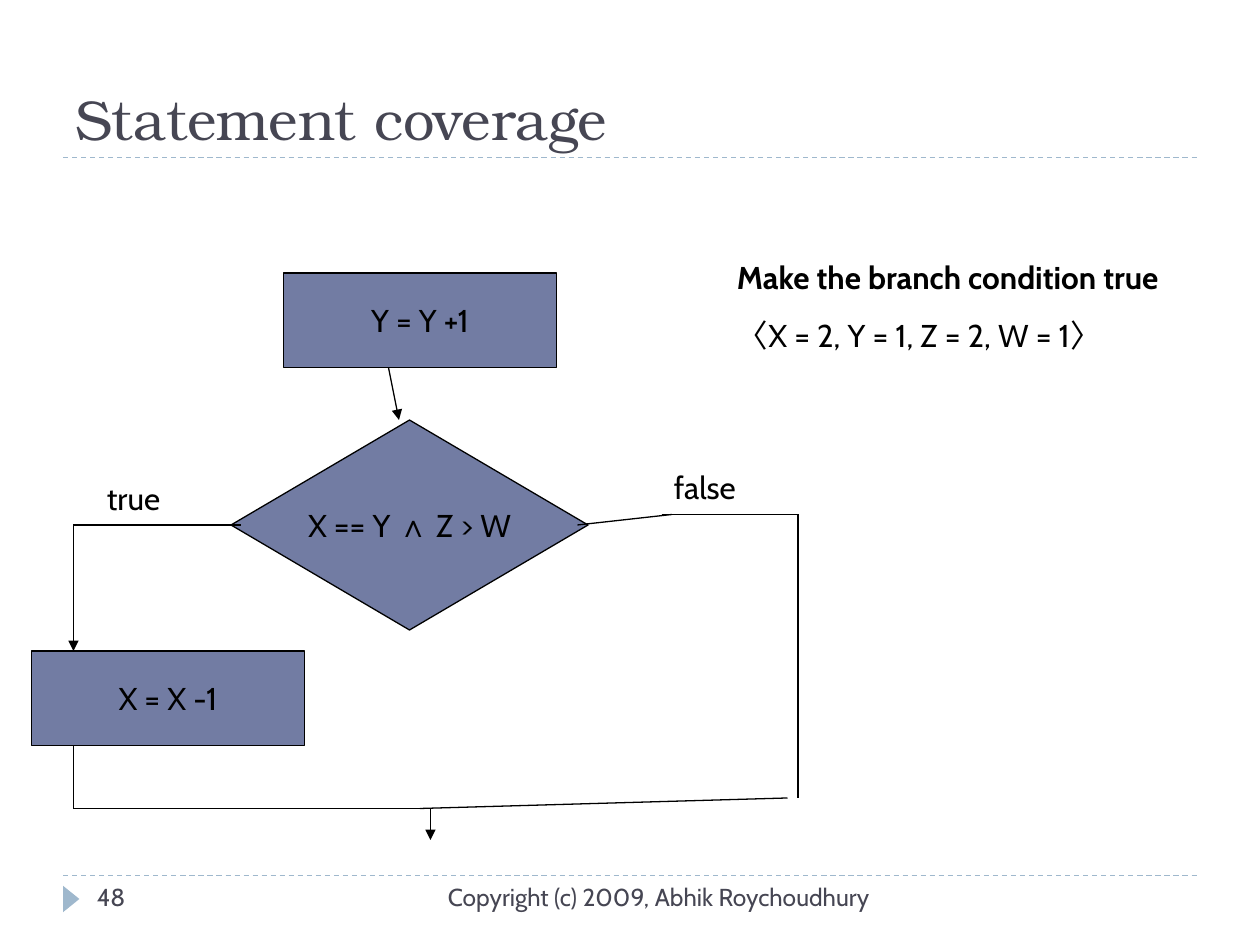
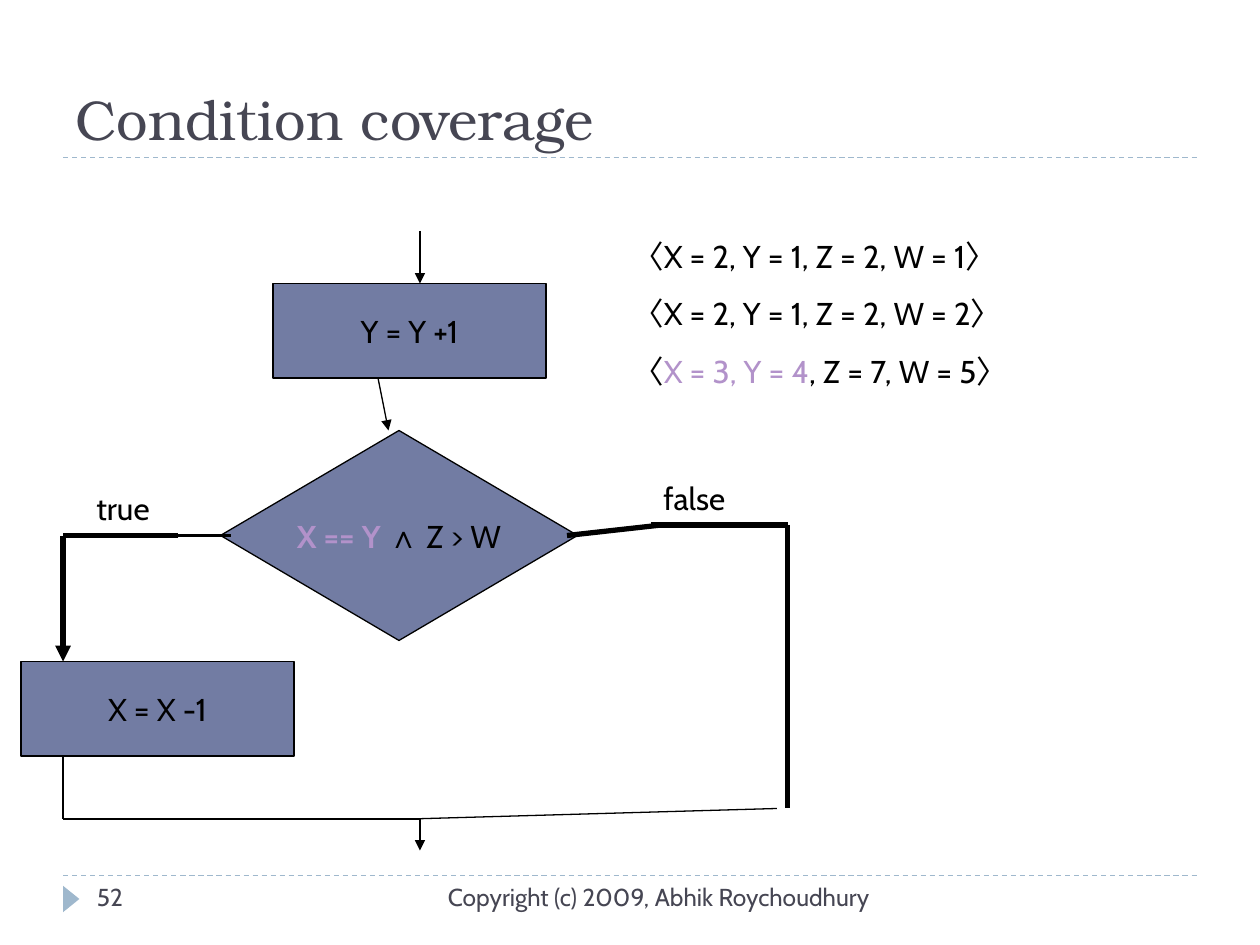
from lxml.etree import SubElement
from pptx import Presentation
from pptx.dml.color import RGBColor
from pptx.enum.dml import MSO_LINE_DASH_STYLE as Dash
from pptx.enum.shapes import MSO_CONNECTOR as Connector, MSO_SHAPE as Shape
from pptx.enum.text import MSO_ANCHOR as Anchor, PP_ALIGN as Align
from pptx.oxml.ns import qn
from pptx.util import Inches, Pt

COLORS = {"ink": "000000", "heading": "464653", "rule": "9FB8CD",
          "node": "727CA3", "accent": "B292CA"}
BODY, HEADING, SYMBOL = "Cabin", "TeX Gyre Bonum", "Arial"
THIN, MEDIUM, HEAVY = 0.75, 2.25, 3
GRID = 1 / 12


def rgb(name):
    return RGBColor.from_string(COLORS[name])


def write(frame, paragraphs, size=18, font=BODY, color="ink", bold=False,
          align=Align.LEFT, anchor=Anchor.TOP, wrap=True, gap=0):
    frame.word_wrap = wrap
    frame.vertical_anchor = anchor
    for index, runs in enumerate(paragraphs):
        paragraph = frame.add_paragraph() if index else frame.paragraphs[0]
        paragraph.alignment = align
        if index:
            paragraph.space_before = Pt(gap)
        for text, style in runs:
            run = paragraph.add_run()
            run.text = text
            run.font.size = Pt(size)
            run.font.name = style.get("font", font)
            run.font.bold = style.get("bold", bold)
            run.font.color.rgb = rgb(style.get("color", color))


def plain(text, **style):
    return [(text, style)]


def test_case(*parts):
    bracket = {"font": SYMBOL}
    return [("〈", bracket), *parts, ("〉", bracket)]


class Deck:
    def __init__(self):
        self.presentation = Presentation()
        self.presentation.slide_width = Inches(10)
        self.presentation.slide_height = Inches(7.5)
        self.slide = None

    def start(self, title, number):
        self.slide = self.presentation.slides.add_slide(self.presentation.slide_layouts[6])
        for height in (6.95, 1.25):
            self.line((0.5, height), (9.5, height), color="rule", dashed=True)
        marker = self.shape(Shape.ISOSCELES_TRIANGLE, (0.46, 7.07, 0.21, 0.13), "rule")
        marker.rotation = 90
        self.text((0.5, 0.17, 9, 1.08), [plain(title)], size=32, font=HEADING,
                  color="heading", anchor=Anchor.BOTTOM)
        self.text((3.17, 6.95, 3.83, 0.4), [plain("Copyright (c) 2009, Abhik Roychoudhury")],
                  size=14, color="heading", align=Align.RIGHT)
        self.text((0.67, 6.95, 2.17, 0.4), [plain(number)], size=14, color="heading")

    def text(self, box, paragraphs, **style):
        holder = self.slide.shapes.add_textbox(*map(Inches, box))
        write(holder.text_frame, paragraphs, **style)

    def shape(self, kind, box, fill):
        shape = self.slide.shapes.add_shape(kind, *map(Inches, box))
        shape.shadow.inherit = False
        shape.fill.solid()
        shape.fill.fore_color.rgb = rgb(fill)
        shape.line.fill.background()
        return shape

    def node(self, kind, box, runs):
        node = self.shape(kind, box, "node")
        node.line.color.rgb = rgb("ink")
        node.line.width = Pt(THIN)
        write(node.text_frame, [runs], align=Align.CENTER, anchor=Anchor.MIDDLE, wrap=False)

    def line(self, start, end, width=THIN, color="ink", dashed=False, arrow=False):
        line = self.slide.shapes.add_connector(Connector.STRAIGHT, *map(Inches, start + end))
        line.line.color.rgb = rgb(color)
        line.line.width = Pt(width)
        if dashed:
            line.line.dash_style = Dash.DASH
        properties = line._element.spPr
        if arrow:
            SubElement(properties.find(qn("a:ln")), qn("a:tailEnd"), type="triangle")
        SubElement(properties, qn("a:effectLst"))

    def flowchart(self, left, top, equality, branch=THIN, true_stub=THIN, entry=False):
        def place(x, y, *size):
            return ((left + x) * GRID, (top + y) * GRID, *(length * GRID for length in size))

        def link(start, end, **style):
            self.line(place(*start), place(*end), **style)

        self.node(Shape.RECTANGLE, place(20, 0, 26, 9), plain("Y = Y +1"))
        self.node(Shape.RECTANGLE, place(-4, 36, 26, 9), plain("X = X -1"))
        if entry:
            link((34, -5), (34, 0), arrow=True)
        link((11, 24), (0, 24), width=branch)
        link((0, 24), (0, 36), width=branch, arrow=True)
        link((0, 45), (0, 51))
        link((0, 51), (34, 51))
        link((56, 23), (69, 23), width=branch)
        link((69, 23), (69, 50), width=branch)
        link((68, 50), (33, 51))
        link((34, 51), (34, 54), arrow=True)
        self.text(place(2, 19, 11, 4.8), [plain("true")])
        self.text(place(56, 18, 15, 4.8), [plain("false")])
        self.node(Shape.FLOWCHART_DECISION, place(15, 14, 34, 20),
                  [("X == Y ", equality), ("∧", {"font": SYMBOL}), (" Z > W", {})])
        link((11, 24), (16, 24), width=true_stub)
        link((48, 24), (57, 23), width=branch)
        link((30, 9), (31, 14), arrow=True)


def main():
    deck = Deck()
    both_true = test_case(("X = 2, Y = 1, Z = 2, W = 1", {}))

    deck.start("Statement coverage", "48")
    deck.flowchart(7, 26, {})
    deck.text((5.75, 2, 4.25, 0.86),
              [plain("Make the branch condition true", bold=True), both_true], gap=11.2)

    deck.start("Condition coverage", "52")
    deck.flowchart(6, 27, {"color": "accent", "bold": True},
                   branch=HEAVY, true_stub=MEDIUM, entry=True)
    second_false = test_case(("X = 2, Y = 1, Z = 2, W = 2", {}))
    first_false = test_case(("X = 3, Y = 4", {"color": "accent"}), (", Z = 7, W = 5", {}))
    deck.text((4.92, 1.83, 4.67, 2.23), [both_true, second_false, first_false], gap=11.2)

    deck.presentation.save("out.pptx")


if __name__ == "__main__":
    main()
